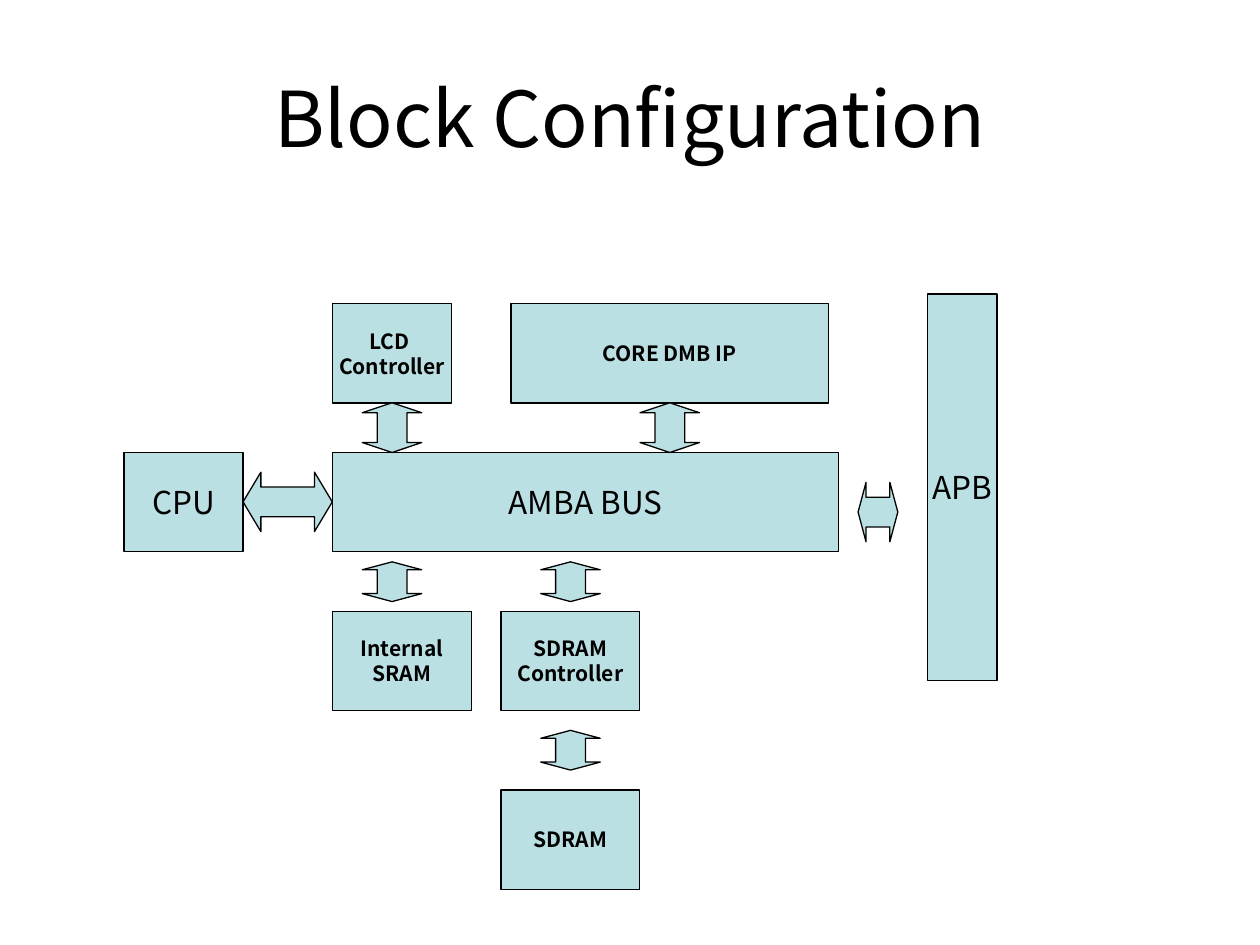
from pptx import Presentation
from pptx.dml.color import RGBColor
from pptx.enum.shapes import MSO_SHAPE as Shape
from pptx.enum.text import MSO_ANCHOR as Anchor, PP_ALIGN as Align
from pptx.util import Pt

COLORS = {"fill": "BBE0E3", "ink": "000000"}
FONT = "Noto Sans CJK KR"
BOX_HEIGHT = 56.7
ARROW_WIDTH = 34


def write(shape, text, size, bold=False, wrap=False, spacing=None):
    """Fill a shape with centred text, one paragraph per line."""
    frame = shape.text_frame
    frame.text = text
    frame.word_wrap = wrap
    frame.vertical_anchor = Anchor.MIDDLE
    for para in frame.paragraphs:
        para.alignment = Align.CENTER
        para.line_spacing = spacing
        para.font.name = FONT
        para.font.size = Pt(size)
        para.font.bold = bold
        para.font.color.rgb = RGBColor.from_string(COLORS["ink"])


def add_block(kind, left, top, width, height):
    shape = page.shapes.add_shape(kind, Pt(left), Pt(top), Pt(width), Pt(height))
    shape.shadow.inherit = False
    shape.fill.solid()
    shape.fill.fore_color.rgb = RGBColor.from_string(COLORS["fill"])
    shape.line.color.rgb = RGBColor.from_string(COLORS["ink"])
    shape.line.width = Pt(0.75)
    return shape


deck = Presentation()
deck.slide_width, deck.slide_height = Pt(720), Pt(540)
page = deck.slides.add_slide(deck.slide_layouts[5])

title = page.shapes.title
title.left, title.top, title.width, title.height = Pt(36), Pt(21.6), Pt(648), Pt(90)
write(title, "Block Configuration", 44, wrap=True)

# Text, left, top, width, height
buses = [
    ("AMBA BUS", 190, 258.4, 289.2, BOX_HEIGHT),
    ("CPU", 70.8, 258.4, 68, BOX_HEIGHT),
    ("APB", 530, 168, 39.7, 221),
]
modules = [
    ("LCD \nController", 190, 173.6, 68, BOX_HEIGHT),
    ("CORE DMB IP", 292, 173.6, 181.5, BOX_HEIGHT),
    ("Internal\nSRAM", 190, 349.3, 79.4, BOX_HEIGHT),
    ("SDRAM\nController", 286.2, 349.3, 79.4, BOX_HEIGHT),
    ("SDRAM", 286.2, 451.5, 79.4, BOX_HEIGHT),
]
for text, *place in buses:
    write(add_block(Shape.RECTANGLE, *place), text, 18)
for text, *place in modules:
    write(add_block(Shape.RECTANGLE, *place), text, 12, bold=True, spacing=Pt(14.3))

# Centre x, centre y, length, rotation, head size
arrows = [
    (164.4, 286.8, 51, 0, 0.3),
    (224, 244.4, 28.4, 90, 0.2),
    (382.7, 244.4, 28.4, 90, 0.2),
    (224, 332.4, 22.7, 90, 0.2),
    (326, 332.4, 22.7, 90, 0.2),
    (326, 428.7, 22.7, 90, 0.2),
    (501.7, 292.6, 22.7, 0, 0.2),
]
for x, y, length, rotation, head in arrows:
    arrow = add_block(Shape.LEFT_RIGHT_ARROW, x - length / 2, y - ARROW_WIDTH / 2,
                      length, ARROW_WIDTH)
    arrow.rotation = rotation
    arrow.adjustments[0] = 0.5
    arrow.adjustments[1] = head

deck.save("out.pptx")
